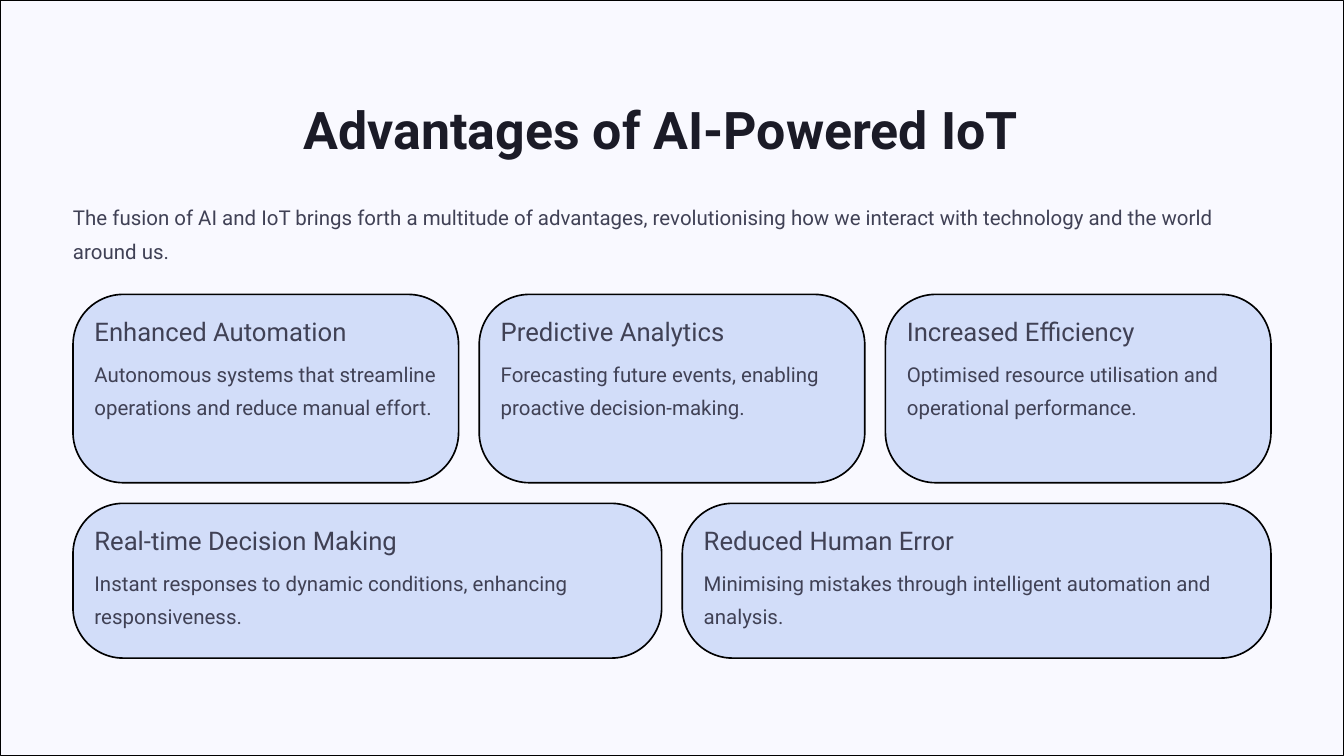
import pptx
import pptx.util
import pptx.dml.color
import pptx.enum.shapes
import pptx.enum.text

Cm = pptx.util.Cm
Pt = pptx.util.Pt

FONT = "Roboto"
BLACK, PAPER, CARD_BLUE = "000000", "F9F9FF", "D2DDF9"
TITLE_INK, BODY_INK = "1B1B27", "404155"

# Card grid, in centimetres
GRID_LEFT, GRID_TOP, GRID_WIDTH, GAP = 2.76, 11.13, 45.28, 0.78
RADIUS, INSET = 1.9, 0.81

# Each row: card height and its cards
ROWS = [
    (7.12, [
        ("Enhanced Automation",
         "Autonomous systems that streamline operations and reduce manual effort."),
        ("Predictive Analytics",
         "Forecasting future events, enabling proactive decision-making."),
        ("Increased Efficiency",
         "Optimised resource utilisation and operational performance."),
    ]),
    (5.85, [
        ("Real-time Decision Making",
         "Instant responses to dynamic conditions, enhancing responsiveness."),
        ("Reduced Human Error",
         "Minimising mistakes through intelligent automation and analysis."),
    ]),
]


def color(hex_code):
    return pptx.dml.color.RGBColor.from_string(hex_code)


def add_panel(slide, kind, left, top, width, height, fill, line_width):
    panel = slide.shapes.add_shape(kind, Cm(left), Cm(top), Cm(width), Cm(height))
    panel.shadow.inherit = False
    panel.fill.solid()
    panel.fill.fore_color.rgb = color(fill)
    panel.line.color.rgb = color(BLACK)
    panel.line.width = Pt(line_width)
    return panel


def add_text(slide, text, left, top, width, height, size, spacing,
             ink=BODY_INK, bold=False):
    box = slide.shapes.add_textbox(Cm(left), Cm(top), Cm(width), Cm(height))
    frame = box.text_frame
    frame.word_wrap = True
    frame.auto_size = pptx.enum.text.MSO_AUTO_SIZE.SHAPE_TO_FIT_TEXT
    frame.margin_left = frame.margin_right = 0
    frame.margin_top = frame.margin_bottom = 0
    paragraph = frame.paragraphs[0]
    paragraph.line_spacing = Pt(spacing)
    run = paragraph.add_run()
    run.text = text
    run.font.name = FONT
    run.font.size = Pt(size)
    run.font.bold = bold
    run.font.color.rgb = color(ink)


def add_card(slide, left, top, width, height, heading, detail):
    card = add_panel(slide, pptx.enum.shapes.MSO_SHAPE.ROUNDED_RECTANGLE,
                     left, top, width, height, CARD_BLUE, 1.75)
    card.adjustments[0] = RADIUS / min(width, height)
    text_left, text_width = left + INSET, width - 2 * INSET
    add_text(slide, heading, text_left, top + 0.76, text_width, 1.3, 27.5, 34.4)
    add_text(slide, detail, text_left, top + 2.24, text_width, 2.82, 21.9, 35.6)


def main():
    deck = pptx.Presentation()
    deck.slide_width, deck.slide_height = Cm(50.8), Cm(28.58)
    slide = deck.slides.add_slide(deck.slide_layouts[6])

    # Outlined page
    add_panel(slide, pptx.enum.shapes.MSO_SHAPE.RECTANGLE,
              0, 0, 50.8, 28.58, PAPER, 1)

    # Title and introduction
    add_text(slide, "Advantages of AI-Powered IoT", 11.48, 3.58, 30.58, 2.44,
             55.6, 69.4, TITLE_INK, bold=True)
    add_text(slide, "The fusion of AI and IoT brings forth a multitude of advantages, "
             "revolutionising how we interact with technology and the world around us.",
             GRID_LEFT, 7.44, GRID_WIDTH, 2.82, 21.9, 35.6)

    # Rows of cards sharing the full grid width
    top = GRID_TOP
    for height, cards in ROWS:
        width = (GRID_WIDTH - GAP * (len(cards) - 1)) / len(cards)
        for column, (heading, detail) in enumerate(cards):
            left = GRID_LEFT + column * (width + GAP)
            add_card(slide, left, top, width, height, heading, detail)
        top += height + GAP

    deck.save("out.pptx")


if __name__ == "__main__":
    main()
